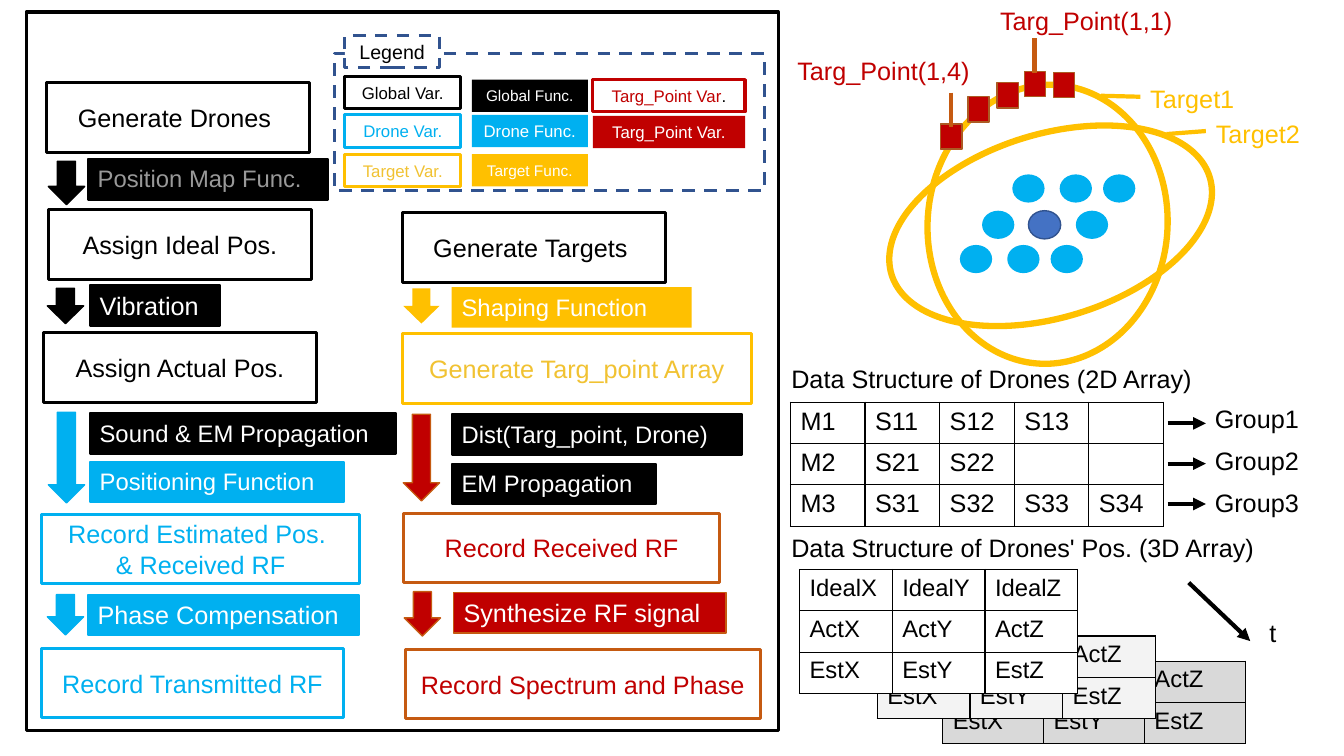
import pptx
import pptx.dml.color
import pptx.enum.dml
import pptx.enum.shapes
import pptx.enum.text
import pptx.oxml
import pptx.oxml.ns
import pptx.oxml.xmlchemy
import pptx.util

Inches = pptx.util.Inches
Pt = pptx.util.Pt
RGBColor = pptx.dml.color.RGBColor
Shape = pptx.enum.shapes.MSO_SHAPE
Align = pptx.enum.text.PP_ALIGN
Anchor = pptx.enum.text.MSO_ANCHOR
OxmlElement = pptx.oxml.xmlchemy.OxmlElement
qn = pptx.oxml.ns.qn

BLACK = RGBColor(0x00, 0x00, 0x00)
WHITE = RGBColor(0xFF, 0xFF, 0xFF)
GREY_TEXT = RGBColor(0x99, 0x99, 0x99)
LIGHT_GREY = RGBColor(0xF3, 0xF3, 0xF3)
MID_GREY = RGBColor(0xD9, 0xD9, 0xD9)
CYAN = RGBColor(0x00, 0xB0, 0xF0)
GOLD = RGBColor(0xFF, 0xC0, 0x00)
SOFT_GOLD = RGBColor(0xF1, 0xC2, 0x32)
RED = RGBColor(0xC0, 0x00, 0x00)
RUST = RGBColor(0xC5, 0x5A, 0x11)
POINT_EDGE = RGBColor(0xAC, 0x5B, 0x23)
BLUE = RGBColor(0x44, 0x72, 0xC4)
NAVY = RGBColor(0x31, 0x53, 0x8F)
ROW_HEIGHT = 0.41


def add_span(para, text, *, size=18, color=BLACK):
    """Append formatted text to a paragraph."""
    span = para.add_run()
    span.text = text
    span.font.name = "Arial"
    span.font.size = Pt(size)
    span.font.bold = False
    span.font.color.rgb = color


def write_text(frame, text, *, size=18, color=BLACK, align=Align.LEFT, anchor=Anchor.TOP):
    """Fill a text frame, one paragraph per line, and return the last one."""
    frame.word_wrap = True
    frame.vertical_anchor = anchor
    for index, line in enumerate(text.split("\n")):
        para = frame.add_paragraph() if index else frame.paragraphs[0]
        para.alignment = align
        add_span(para, line, size=size, color=color)
    return para


def add_figure(page, kind, place, *, fill=None, line=None, weight=1.0, dashed=False, turn=0):
    """Add a preset shape at (left, top, width, height)."""
    figure = page.shapes.add_shape(kind, *map(Inches, place))
    figure.shadow.inherit = False
    figure.rotation = turn
    if fill is None:
        figure.fill.background()
    else:
        figure.fill.solid()
        figure.fill.fore_color.rgb = fill
    if line is None:
        figure.line.fill.background()
    else:
        figure.line.color.rgb = line
        figure.line.width = Pt(weight)
        if dashed:
            figure.line.dash_style = pptx.enum.dml.MSO_LINE.DASH
    return figure


def add_step(page, place, text, color, *, text_color=None, size=18, **style):
    """Add an outlined box with centred text and return its last paragraph."""
    box = add_figure(page, Shape.RECTANGLE, place, line=color, weight=2.25, **style)
    return write_text(box.text_frame, text, size=size, color=text_color or color,
                      align=Align.CENTER, anchor=Anchor.MIDDLE)


def add_function(page, place, text, fill, *, line=None, weight=1.5, size=17, color=WHITE):
    """Add a filled bar that names a function."""
    bar = add_figure(page, Shape.RECTANGLE, (*place, 0.4), fill=fill, line=line, weight=weight)
    write_text(bar.text_frame, text, size=size, color=color)


def add_label(page, place, text, *, color=BLACK, anchor=Anchor.TOP):
    """Add a plain text box."""
    box = page.shapes.add_textbox(*map(Inches, place))
    write_text(box.text_frame, text, color=color, anchor=anchor)


def add_line(page, start, end, color, *, arrow=False):
    """Add a straight 3 pt line, with an arrowhead at its end if asked."""
    straight = pptx.enum.shapes.MSO_CONNECTOR.STRAIGHT
    line = page.shapes.add_connector(straight, *map(Inches, (*start, *end)))
    line.line.color.rgb = color
    line.line.width = Pt(3)
    properties = line.element.spPr
    if arrow:
        head = OxmlElement("a:tailEnd")
        head.set("type", "triangle")
        properties.find(qn("a:ln")).append(head)
    properties.append(OxmlElement("a:effectLst"))


def add_borders(cell):
    """Draw a 1 pt black border on all sides of a table cell."""
    properties = cell._tc.get_or_add_tcPr()
    for index, side in enumerate(("lnL", "lnR", "lnT", "lnB")):
        border = pptx.oxml.parse_xml(
            f'<a:{side} {pptx.oxml.ns.nsdecls("a")} w="12700"><a:solidFill>'
            f'<a:srgbClr val="{BLACK}"/></a:solidFill></a:{side}>')
        properties.insert(index, border)


def add_array(page, left, top, column_width, rows, *, fill=WHITE, size=17):
    """Add a bordered table with equal columns."""
    count = len(rows[0])
    place = (left, top, column_width * count, ROW_HEIGHT * len(rows))
    table = page.shapes.add_table(len(rows), count, *map(Inches, place)).table
    table.first_row = table.horz_banding = False
    for column in table.columns:
        column.width = Inches(column_width)
    for row, words in zip(table.rows, rows):
        row.height = Inches(ROW_HEIGHT)
        for cell, word in zip(row.cells, words):
            cell.fill.solid()
            cell.fill.fore_color.rgb = fill
            add_borders(cell)
            if word:
                write_text(cell.text_frame, word, size=size)


def draw_flow(page):
    """Draw the drone steps and the target steps."""
    add_figure(page, Shape.RECTANGLE, (0.26, 0.12, 7.46, 7.13), line=BLACK, weight=2.25)
    for left, top, width, text, color, text_color in (
            (0.46, 0.82, 2.61, "Generate Drones ", BLACK, BLACK),
            (0.48, 2.08, 2.61, "Assign Ideal Pos.", BLACK, BLACK),
            (0.43, 3.3, 2.71, "Assign Actual Pos.", BLACK, BLACK),
            (0.41, 5.1, 3.16, "Record Estimated Pos. \n& Received RF", CYAN, CYAN),
            (0.41, 6.43, 3, "Record Transmitted RF", CYAN, CYAN),
            (3.99, 2.11, 2.61, "Generate Targets ", BLACK, BLACK),
            (3.99, 3.31, 3.46, "Generate Targ_point Array", GOLD, SOFT_GOLD),
            (4, 5.09, 3.14, "Record Received RF", RUST, RED),
            (4.02, 6.44, 3.52, "Record Spectrum and Phase", RUST, RED)):
        add_step(page, (left, top, width, 0.69), text, color, text_color=text_color, fill=WHITE)
    for left, top, height, fill, line in (
            (0.48, 1.6, 0.43, BLACK, BLACK), (0.47, 2.86, 0.35, BLACK, BLACK),
            (0.48, 4.09, 0.9, CYAN, CYAN), (0.47, 5.9, 0.4, CYAN, CYAN),
            (4, 2.86, 0.35, GOLD, None), (4, 4.11, 0.86, RED, RUST),
            (4.01, 5.87, 0.44, RED, RUST)):
        add_figure(page, Shape.DOWN_ARROW, (left, top, 0.36, height), fill=fill, line=line)
    add_function(page, (0.87, 1.58, 2.38), "Position Map Func.", BLACK, line=BLACK, color=GREY_TEXT)
    add_function(page, (0.89, 2.83, 1.29), "Vibration", BLACK, line=BLACK, size=18)
    add_function(page, (0.89, 4.1, 3.04), "Sound & EM Propagation", BLACK, line=BLACK)
    add_function(page, (0.89, 4.58, 2.52), "Positioning Function", CYAN, line=CYAN)
    add_function(page, (0.87, 5.9, 2.69), "Phase Compensation", CYAN, line=CYAN, size=18)
    add_function(page, (4.48, 2.85, 2.38), "Shaping Function", GOLD)
    add_function(page, (4.48, 4.11, 2.88), "Dist(Targ_point, Drone)", BLACK, line=BLACK)
    add_function(page, (4.48, 4.6, 2.03), "EM Propagation", BLACK, line=BLACK)
    add_function(page, (4.5, 5.88, 2.7), "Synthesize RF signal", RED, line=RUST, weight=1, size=18)


def draw_legend(page):
    """Draw the dashed legend with its variable and function samples."""
    add_figure(page, Shape.RECTANGLE, (3.32, 0.53, 4.26, 1.36), line=NAVY, weight=2.25, dashed=True)
    add_step(page, (3.42, 0.35, 0.94, 0.32), "Legend", NAVY, text_color=BLACK, size=14,
             fill=WHITE, dashed=True)
    for top, text, color, text_color in ((0.76, "Global Var.", BLACK, BLACK),
                                         (1.14, "Drone Var.", CYAN, CYAN),
                                         (1.53, "Target Var.", GOLD, SOFT_GOLD)):
        add_step(page, (3.42, top, 1.15, 0.32), text, color, text_color=text_color, size=12)
    para = add_step(page, (5.88, 0.79, 1.51, 0.32), "Targ_Point Var", RED, size=12)
    add_span(para, ".", size=12)
    for left, top, width, text, fill, size in (
            (4.68, 0.79, 1.15, "Global Func.", BLACK, 11),
            (4.68, 1.14, 1.15, "Drone Func.", CYAN, 12),
            (4.68, 1.53, 1.15, "Target Func.", GOLD, 11),
            (5.88, 1.15, 1.51, "Targ_Point Var.", RED, 12)):
        sample = add_figure(page, Shape.RECTANGLE, (left, top, width, 0.32), fill=fill)
        write_text(sample.text_frame, text, size=size, color=WHITE,
                   align=Align.CENTER, anchor=Anchor.MIDDLE)


def draw_targets(page):
    """Draw the drones, the two target outlines and the target points."""
    add_figure(page, Shape.OVAL, (10.2, 2.09, 0.32, 0.28), fill=BLUE, line=NAVY)
    for top, lefts in ((1.73, (10.04, 10.51, 10.94)), (2.09, (9.74, 10.67)),
                       (2.43, (9.52, 9.99, 10.42))):
        for left in lefts:
            add_figure(page, Shape.OVAL, (left, top, 0.32, 0.28), fill=CYAN)
    for place, turn in (((9.51, 0.59, 1.82, 3.3), 73), ((9.2, 0.84, 2.38, 2.77), 3.9)):
        add_figure(page, Shape.OVAL, place, line=GOLD, weight=4.5, turn=turn)
    add_line(page, (10.92, 0.95), (11.31, 0.96), GOLD)
    add_line(page, (11.57, 1.33), (11.96, 1.3), GOLD)
    for left, top in ((10.16, 0.71), (9.89, 0.82), (9.6, 0.96), (10.45, 0.72), (9.33, 1.23)):
        add_figure(page, Shape.RECTANGLE, (left, top, 0.21, 0.25), fill=RED, line=POINT_EDGE)
    for x, top in ((10.26, 0.38), (9.43, 0.92)):
        add_line(page, (x, top), (x, top + 0.34), RUST)
    for left, top, width, text, color in (
            (11.31, 0.78, 1.12, "Target1", GOLD), (11.96, 1.12, 1.12, "Target2", GOLD),
            (9.82, 0, 2.18, "Targ_Point(1,1)", RED), (7.81, 0.5, 2.18, "Targ_Point(1,4)", RED)):
        add_label(page, (left, top, width, 0.36), text, color=color)


def draw_arrays(page):
    """Draw the 2D array of drones and the stacked 3D array of positions."""
    for top, width, text in ((3.41, 4.51, "Data Structure of Drones (2D Array)"),
                             (5.09, 5.19, "Data Structure of Drones' Pos. (3D Array)")):
        add_label(page, (7.75, top, width, 0.69), text, anchor=Anchor.MIDDLE)
    add_array(page, 7.84, 3.99, 0.74, (("M1", "S11", "S12", "S13", ""), ("M2", "S21", "S22", "", ""),
                                       ("M3", "S31", "S32", "S33", "S34")), size=18)
    for index in range(3):
        y = 4.2 + 0.4 * index
        add_line(page, (11.58, y), (11.96, y), BLACK, arrow=True)
        add_label(page, (11.95, 3.95 + 0.42 * index, 1.12, 0.4), f"Group{index + 1}")
    positions = [[kind + axis for axis in "XYZ"] for kind in ("Ideal", "Act", "Est")]
    add_array(page, 9.35, 6.56, 1, positions[1:], fill=MID_GREY)
    add_array(page, 8.7, 6.31, 0.92, positions[1:], fill=LIGHT_GREY)
    add_array(page, 7.93, 5.65, 0.92, positions)
    add_line(page, (11.79, 5.78), (12.4, 6.36), BLACK, arrow=True)
    add_label(page, (12.49, 6.08, 0.45, 0.4), "t")


def main():
    """Build the slide and save the deck."""
    deck = pptx.Presentation()
    deck.slide_width, deck.slide_height = Inches(13.33), Inches(7.5)
    page = deck.slides.add_slide(deck.slide_layouts[6])
    for draw in (draw_flow, draw_targets, draw_legend, draw_arrays):
        draw(page)
    deck.save("out.pptx")


main()
